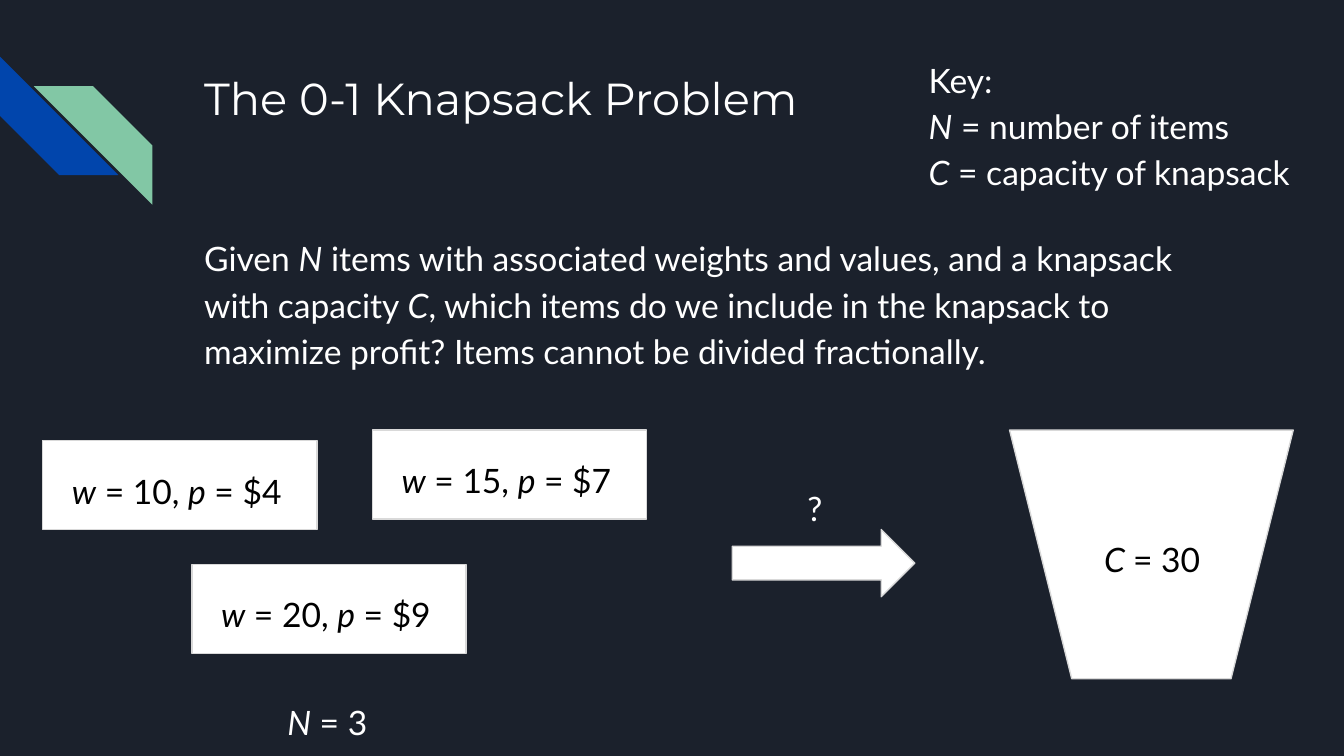
from pptx import Presentation
from pptx import util as u
from pptx.dml.color import RGBColor
from pptx.enum import shapes, text

WHITE, BLACK, GREY = "FFFFFF", "000000", "D9D9D9"
KIND = shapes.MSO_SHAPE


def shape(kind, box, fill=WHITE, line=GREY, turn=0):
    new = slide.shapes.add_shape(kind, *[u.Cm(n) for n in box])
    new.shadow.inherit = False
    new.rotation = turn
    new.fill.solid()
    new.fill.fore_color.rgb = RGBColor.from_string(fill)
    if line:
        new.line.color.rgb = RGBColor.from_string(line)
        new.line.width = u.Pt(0.75)
    else:
        new.line.fill.background()
    return new


def write(words, box, color=WHITE, size=18, font="Lato", space=1.15):
    """Add a text box; parts between asterisks are italic."""
    frame = slide.shapes.add_textbox(*[u.Cm(n) for n in box]).text_frame
    frame.word_wrap = True
    frame.vertical_anchor = text.MSO_ANCHOR.TOP
    frame.margin_left = frame.margin_right = u.Cm(0.25)
    frame.margin_top = frame.margin_bottom = u.Cm(0.25)
    para = frame.paragraphs[0]
    para.line_spacing = space
    for row, line in enumerate(words.split("\n")):
        if row:
            para.add_line_break()
        for i, part in enumerate(line.split("*")):
            if part:
                run = para.add_run()
                run.text = part
                run.font.italic = i % 2 == 1
                run.font.name = font
                run.font.size = u.Pt(size)
                run.font.color.rgb = RGBColor.from_string(color)


prs = Presentation()
prs.slide_width, prs.slide_height = u.Cm(25.4), u.Cm(14.29)
slide = prs.slides.add_slide(prs.slide_layouts[6])
back = slide.background.fill
back.solid()
back.fore_color.rgb = RGBColor.from_string("1B212C")

# Corner stripes
shape(KIND.DIAGONAL_STRIPE, (0, 1.07, 2.24, 2.24), "0145AC", None, 270)
shape(KIND.DIAGONAL_STRIPE, (0.64, 1.63, 2.24, 2.24), "82C7A5", None, 90)

# Title, question and key
write("The 0-1 Knapsack Problem", (3.61, 1.09, 19.56, 2.54),
      size=24, font="Montserrat", space=1)
write("Given *N* items with associated weights and values, and a knapsack "
      "with capacity *C*, which items do we include in the knapsack to "
      "maximize profit? Items cannot be divided fractionally.",
      (3.61, 4.14, 19.56, 3.48))
write("Key:\n*N* = number of items\n*C* = capacity of knapsack",
      (17.3, 0.76, 7.49, 1.9))

# Items
items = [(0.81, 8.33, 10, 4), (3.63, 10.67, 20, 9), (7.04, 8.13, 15, 7)]
for x, y, weight, profit in items:
    shape(KIND.RECTANGLE, (x, y, 5.18, 1.68))
    write(f"*w* = {weight}, *p* = ${profit}",
          (x + 0.3, y + 0.2, 4.57, 1.27), BLACK)
write("*N* = 3", (5.18, 12.9, 2.08, 1.27))

# Arrow and knapsack
shape(KIND.RIGHT_ARROW, (13.84, 10.01, 3.45, 1.27))
write("?", (15.01, 8.86, 2.08, 1.27))
shape(KIND.TRAPEZOID, (19.08, 8.13, 5.36, 4.7), turn=180)
write("*C *= 30", (20.62, 9.83, 2.59, 1.27), BLACK)

prs.save("out.pptx")
